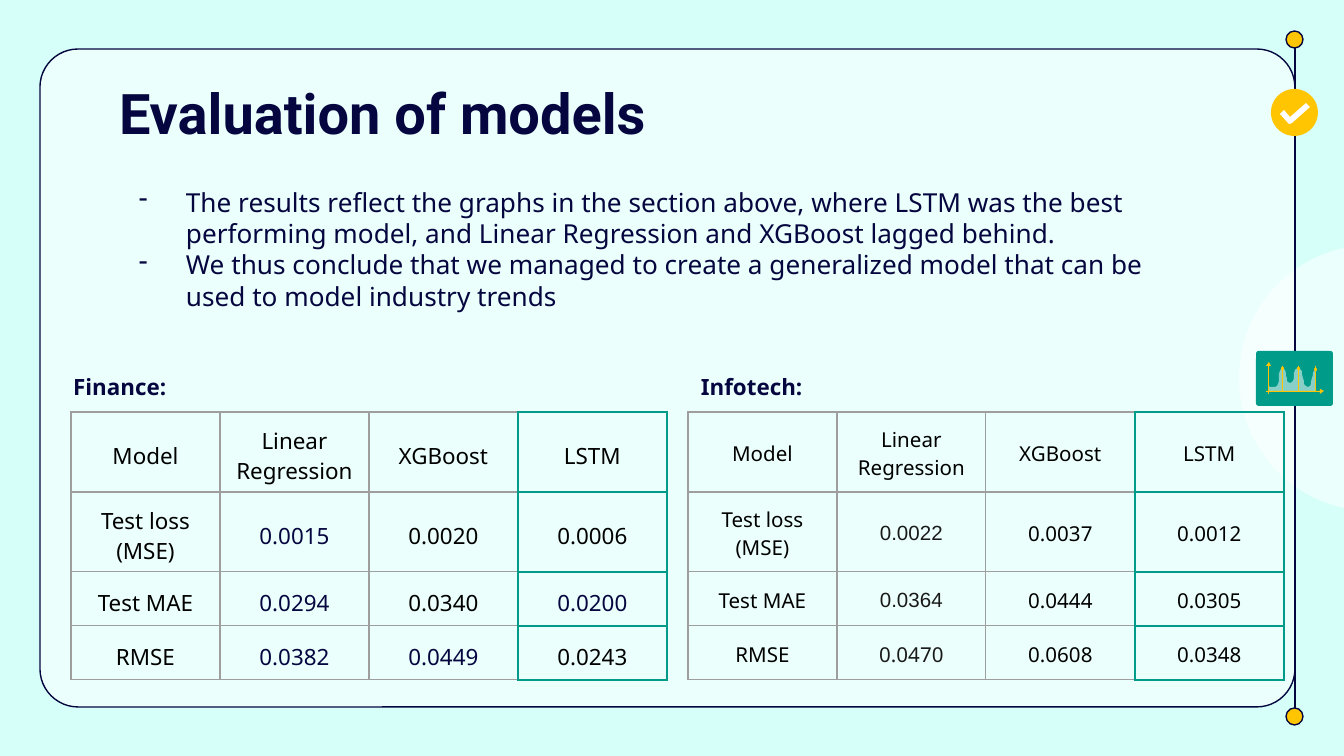
from lxml import etree
from pptx import Presentation
from pptx import util as u
from pptx.dml import color
from pptx.enum import shapes, text
from pptx.oxml import ns

SCALE = 914400 / 134.4
NAVY, TEAL, GOLD, GREY = "05063F", "009B89", "FFC402", "9E9E9E"
BLACK, WHITE, DARK = "000000", "FFFFFF", "191919"
KIND = shapes.MSO_SHAPE
HEAD = ["Model", "Linear Regression", "XGBoost", "LSTM"]
FINANCE = [HEAD, ["Test loss (MSE)", "0.0015", "0.0020", "0.0006"],
           ["Test MAE", "0.0294", "0.0340", "0.0200"],
           ["RMSE", "0.0382", "0.0449", "0.0243"]]
INFO = [HEAD, ["Test loss (MSE)", "0.0022", "0.0037", "0.0012"],
        ["Test MAE", "0.0364", "0.0444", "0.0305"],
        ["RMSE", "0.0470", "0.0608", "0.0348"]]
NOTES = ["The results reflect the graphs in the section above, where LSTM was the best "
         "performing model, and Linear Regression and XGBoost lagged behind.",
         "We thus conclude that we managed to create a generalized model that can be "
         "used to model industry trends"]
WAVE = [(1269, 386), (1269, 386), (1270, 388), (1275, 387), (1281, 386), (1277, 368),
        (1282, 368), (1288, 368), (1285, 383), (1290, 383), (1296, 383), (1292, 368),
        (1298, 368), (1305, 368), (1301, 387), (1308, 387), (1313, 387), (1311, 370),
        (1316, 370)]
CHECK = [(1289, 124), (1280, 114), (1284, 110), (1290, 117), (1306, 103), (1310, 107),
         (1292, 123)]


def px(*vals):
    """Turn px lengths into EMU."""
    return [u.Emu(round(v * SCALE)) for v in vals]


def rgb(code):
    """Make a colour from a hex string."""
    return color.RGBColor.from_string(code)


def put(obj, vals):
    """Set attributes from a dict."""
    for key, val in vals.items():
        setattr(obj, key, val)


def add(parent, tag, **vals):
    """Append a drawing element to a parent."""
    return etree.SubElement(parent, ns.qn("a:" + tag), vals)


def style(shape, fill, line=None, alpha=None):
    """Give a shape its fill and line."""
    shape.shadow.inherit = False
    shape.fill.solid()
    shape.fill.fore_color.rgb = rgb(fill)
    if alpha:
        tone = shape.fill._xPr.find(".//" + ns.qn("a:srgbClr"))
        add(tone, "alpha", val=str(alpha * 1000))
    if line:
        shape.line.color.rgb = rgb(line)
        shape.line.width = u.Pt(0.75)
    else:
        shape.line.fill.background()


def block(slide, kind, box, fill, line=None, alpha=None, adj=None):
    """Draw a preset shape."""
    shape = slide.shapes.add_shape(kind, *px(*box))
    style(shape, fill, line, alpha)
    if adj:
        shape.adjustments[0] = adj


def poly(slide, pts, fill, alpha=None):
    """Draw a closed outline."""
    pen = slide.shapes.build_freeform(*pts[0], scale=SCALE)
    pen.add_line_segments(pts[1:], close=True)
    style(pen.convert_to_shape(), fill, alpha=alpha)


def curve(pts, steps=8):
    """Sample a chain of cubic curves."""
    out = [pts[0]]
    for i in range(0, len(pts) - 1, 3):
        for n in range(1, steps + 1):
            t = n / steps
            mix = ((1 - t) ** 3, 3 * t * (1 - t) ** 2, 3 * t * t * (1 - t), t ** 3)
            out.append(tuple(sum(m * p[k] for m, p in zip(mix, pts[i:i + 4]))
                             for k in (0, 1)))
    return out


def write(para, words, size, tone=NAVY, name="Noto Sans", bold=False):
    """Add one formatted run."""
    run = para.add_run()
    run.text = words
    put(run.font, {"size": u.Pt(size), "name": name, "bold": bold})
    run.font.color.rgb = rgb(tone)


def frame(shape, box):
    """Place a text shape and return its frame."""
    put(shape, dict(zip(("left", "top", "width", "height"), px(*box))))
    body = shape.text_frame
    pad = px(13)[0]
    put(body, {"word_wrap": True, "auto_size": text.MSO_AUTO_SIZE.NONE,
               "vertical_anchor": text.MSO_ANCHOR.TOP, "margin_left": pad,
               "margin_right": pad, "margin_top": pad, "margin_bottom": pad})
    return body


def label(slide, box, words):
    """Add a bold table caption."""
    body = frame(slide.shapes.add_textbox(0, 0, 0, 0), box)
    write(body.paragraphs[0], words, 12, bold=True)


def notes(slide, box, lines):
    """Add the dashed list."""
    body = frame(slide.shapes.add_textbox(0, 0, 0, 0), box)
    for i, line in enumerate(lines):
        para = body.add_paragraph() if i else body.paragraphs[0]
        write(para, line, 14)
        prop = para._p.get_or_add_pPr()
        left, dent = px(67, -47)
        put(para, {"line_spacing": 1.0})
        prop.set("marL", str(left))
        prop.set("indent", str(dent))
        add(add(prop, "buClr"), "srgbClr", val=NAVY)
        add(prop, "buChar", char="-")


def edge(cell, side, tone, width):
    """Draw one cell border."""
    line = add(cell._tc.get_or_add_tcPr(), "ln" + side, w=str(u.Pt(width)))
    add(add(line, "solidFill"), "srgbClr", val=tone)


def grid(slide, left, data, size, foot, looks):
    """Add a score table with its last column outlined."""
    high = (80, 80, 54, 54)
    table = slide.shapes.add_table(4, 4, *px(left, 412, 4 * 149, sum(high))).table
    put(table, {"first_row": False, "horz_banding": False})
    for r, row in enumerate(data):
        table.rows[r].height = px(high[r])[0]
        for c, words in enumerate(row):
            table.columns[c].width = px(149)[0]
            cell = table.cell(r, c)
            pad, low = px(13, foot)
            put(cell, {"margin_left": pad, "margin_right": pad, "margin_top": pad,
                       "margin_bottom": low, "vertical_anchor": text.MSO_ANCHOR.MIDDLE})
            para = cell.text_frame.paragraphs[0]
            para.alignment = text.PP_ALIGN.CENTER
            write(para, words, size, *looks.get(words, (BLACK,)))
            for side in "LRTB":
                best = c == 3 or (c == 2 and side == "R")
                edge(cell, side, *((TEAL, 1.5) if best else (GREY, 0.75)))
            cell.fill.background()


def rail(slide):
    """Draw the line, dots and badges on the right."""
    block(slide, KIND.OVAL, (1239, 245, 266, 266), WHITE, alpha=53)
    for top in (31, 708):
        block(slide, KIND.OVAL, (1286, top, 17, 17), GOLD, NAVY)
    line = slide.shapes.add_connector(shapes.MSO_CONNECTOR.STRAIGHT,
                                      *px(1295, 48, 1295, 708))
    line.line.color.rgb = rgb(NAVY)
    line.line.width = u.Pt(0.75)
    add(line._element.spPr, "effectLst")
    block(slide, KIND.ROUNDED_RECTANGLE, (1256, 351, 77, 55), TEAL, adj=0.05)
    poly(slide, curve(WAVE) + [(1316, 391), (1269, 391)], WHITE, 53)
    for left, top in ((1282, 367), (1298, 367), (1315, 368)):
        block(slide, KIND.RECTANGLE, (left, 366, 1, 26), GOLD)
        block(slide, KIND.OVAL, (left - 1, top, 3, 3), GOLD)
    for box in ((1268, 364, 1, 30), (1266, 391, 54, 1)):
        block(slide, KIND.RECTANGLE, box, GOLD)
    poly(slide, [(1266, 366), (1269, 362), (1271, 366)], GOLD)
    poly(slide, [(1320, 389), (1324, 391), (1320, 394)], GOLD)
    block(slide, KIND.OVAL, (1271, 89, 47, 47), GOLD)
    poly(slide, CHECK, WHITE)


def main():
    """Build and save the slide."""
    deck = Presentation()
    deck.slide_width, deck.slide_height = px(1344, 756)
    slide = deck.slides.add_slide(deck.slide_layouts[5])
    back = slide.background.fill
    back.solid()
    back.fore_color.rgb = rgb("D6FFF9")
    block(slide, KIND.ROUNDED_RECTANGLE, (40, 49, 1255, 658), WHITE, NAVY, 53, 0.058)
    rail(slide)
    title = slide.shapes.title
    slide.shapes._spTree.append(title._element)
    para = frame(title, (106, 66, 1133, 85)).paragraphs[0]
    para.alignment = text.PP_ALIGN.LEFT
    write(para, "Evaluation of models", 30, name="Roboto", bold=True)
    notes(slide, (106, 173, 1052, 168), NOTES)
    blue = ("0.0015", "0.0294", "0.0200", "0.0382", "0.0449")
    grid(slide, 71, FINANCE, 12, 5, {word: (NAVY,) for word in blue})
    label(slide, (688, 360, 138, 44), "Infotech:")
    grid(slide, 688, INFO, 11, 10, {"0.0022": (DARK, "Arial"), "0.0364": (DARK, "Arial"),
                                    "0.0470": (DARK,)})
    label(slide, (60, 360, 219, 44), "Finance:")
    deck.save("out.pptx")


if __name__ == "__main__":
    main()
